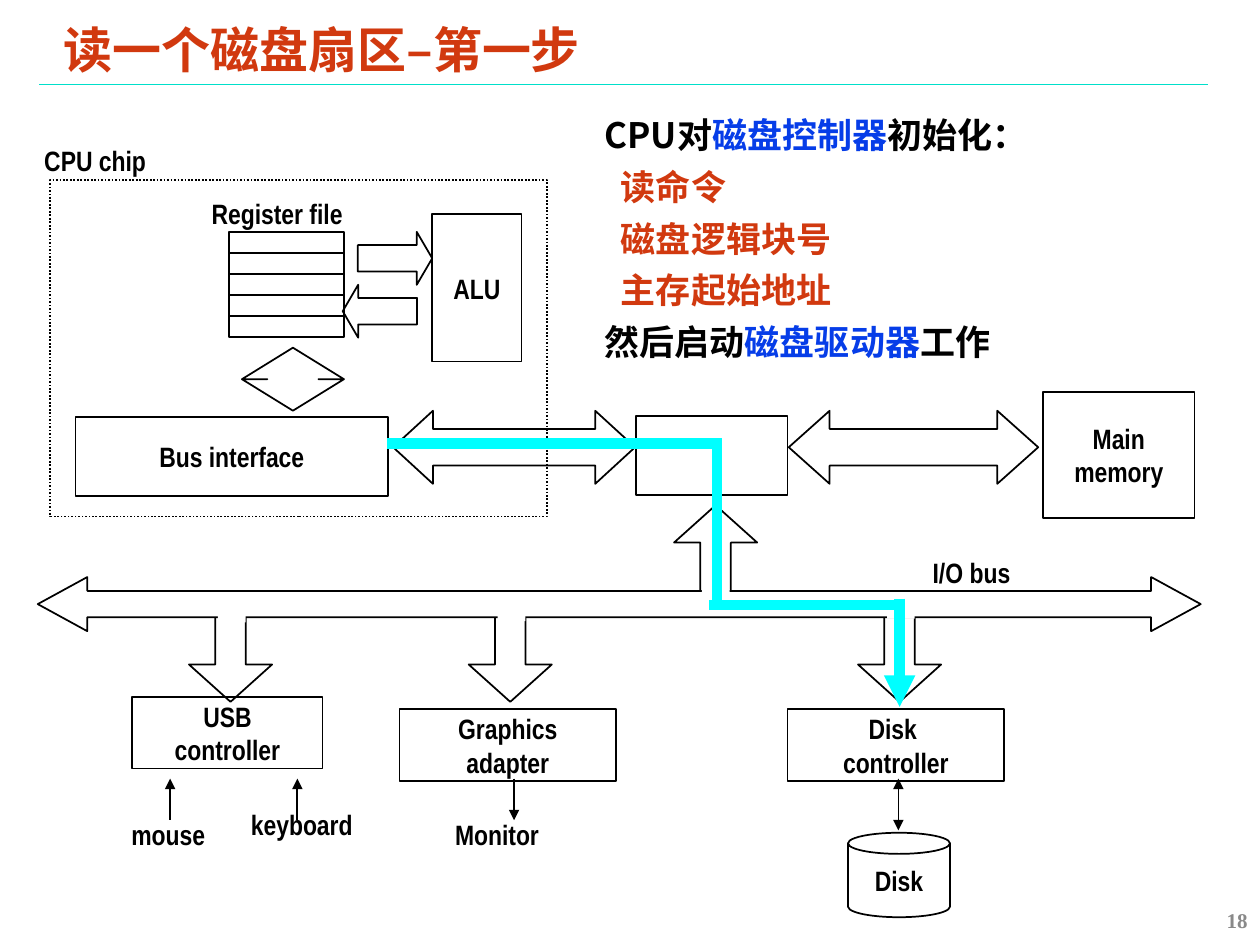
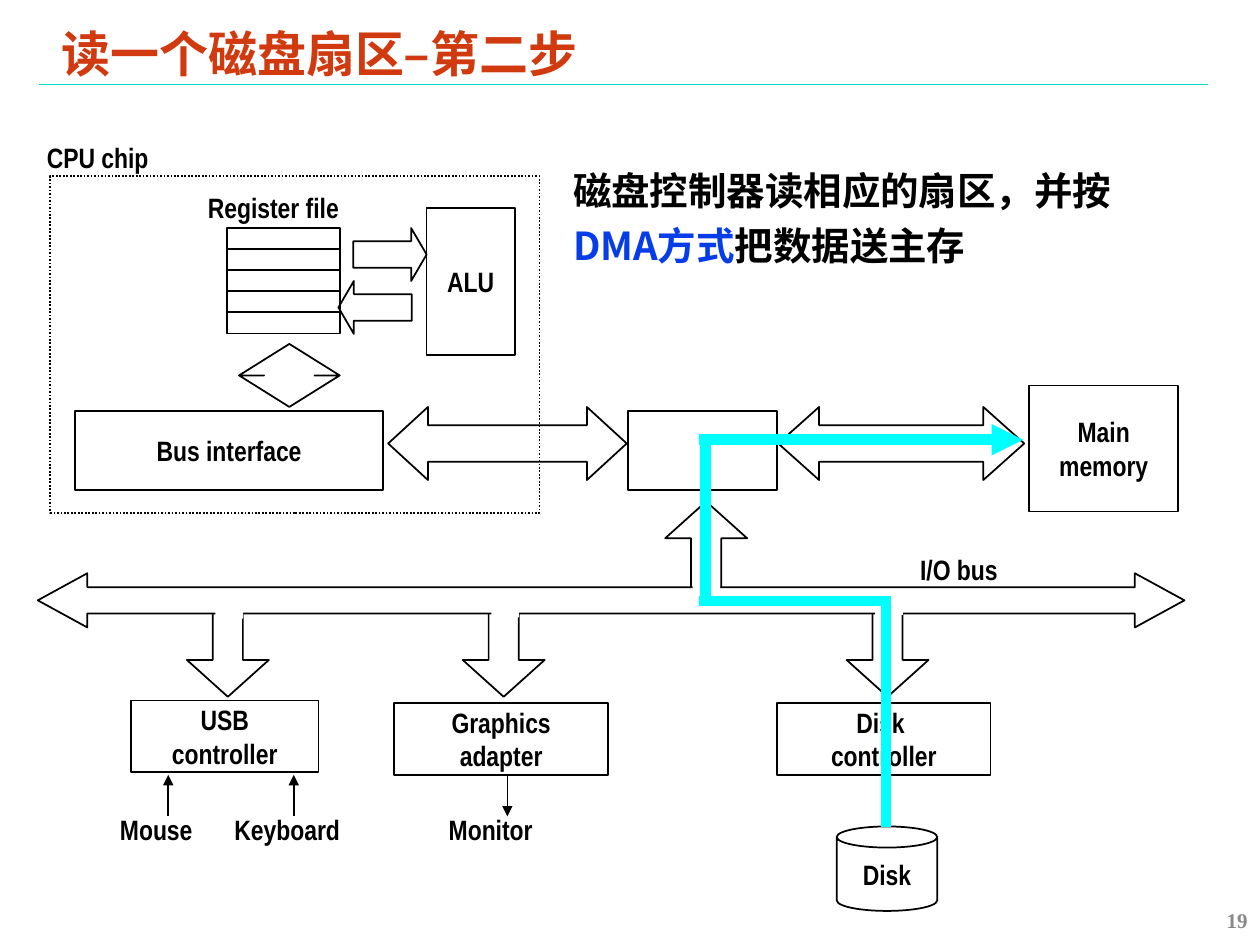
"""Build two slides on the steps of reading a disk sector."""
from lxml import etree
from pptx import Presentation
from pptx.dml.color import RGBColor
from pptx.enum.dml import MSO_LINE
from pptx.enum.shapes import MSO_CONNECTOR, MSO_SHAPE
from pptx.enum.text import MSO_ANCHOR, PP_ALIGN
from pptx.oxml.ns import qn
from pptx.util import Inches, Pt

RECT, CAN = MSO_SHAPE.RECTANGLE, MSO_SHAPE.CAN
LEFT_RIGHT, UP_DOWN = MSO_SHAPE.LEFT_RIGHT_ARROW, MSO_SHAPE.UP_DOWN_ARROW
TO_RIGHT, TO_LEFT = MSO_SHAPE.RIGHT_ARROW, MSO_SHAPE.LEFT_ARROW
TO_TOP, TO_BOTTOM = MSO_SHAPE.UP_ARROW, MSO_SHAPE.DOWN_ARROW
STRAIGHT = MSO_CONNECTOR.STRAIGHT
DOTTED = MSO_LINE.ROUND_DOT
TOP, MIDDLE = MSO_ANCHOR.TOP, MSO_ANCHOR.MIDDLE
LEFT, CENTER, RIGHT = PP_ALIGN.LEFT, PP_ALIGN.CENTER, PP_ALIGN.RIGHT

BLACK = RGBColor(0x00, 0x00, 0x00)
WHITE = RGBColor(0xFF, 0xFF, 0xFF)
RED = RGBColor(0xD1, 0x39, 0x0F)
BLUE = RGBColor(0x06, 0x3D, 0xE8)
TEAL = RGBColor(0x00, 0xDF, 0xCA)
CYAN = RGBColor(0x00, 0xFF, 0xFF)
GRAY = RGBColor(0x89, 0x89, 0x89)
CJK, NARROW, SERIF = "Noto Sans CJK SC", "Arial Narrow", "Times New Roman"


def write(frame, paragraphs, font, size, align=CENTER, anchor=MIDDLE, wrap=False, spacing=1.0, before=0):
    """Fill a text frame with paragraphs, each a list of (text, colour) runs."""
    frame.word_wrap = wrap
    frame.vertical_anchor = anchor
    for number, runs in enumerate(paragraphs):
        paragraph = frame.add_paragraph() if number else frame.paragraphs[0]
        paragraph.alignment = align
        paragraph.line_spacing = spacing
        if number and before:
            paragraph.space_before = Pt(before)
        for text, color in runs:
            run = paragraph.add_run()
            run.text = text
            run.font.name = font
            run.font.size = Pt(size)
            run.font.bold = True
            run.font.color.rgb = color
            etree.SubElement(run.font._element, qn("a:ea")).set("typeface", font)


def add_box(slide, x, y, w, h):
    """Add an empty text box and return its text frame."""
    return slide.shapes.add_textbox(Inches(x), Inches(y), Inches(w), Inches(h)).text_frame


REGISTERS = [(RECT, 1.82, 1.84 + 0.167 * row, 0.91, 0.17, 0.03, (), "") for row in range(5)]
BRANCHES = [(TO_BOTTOM, x, 4.82, 0.66, 0.75, 0.04, (0.367, 0.449), "") for x in (6.81, 3.72, 1.5)]
IO_BUS = (LEFT_RIGHT, 0.3, 4.58, 9.23, 0.43, 0.03, (0.486, 0.915), "")
CPU_CHIP = (RECT, 0.4, 1.43, 3.94, 2.67, 0.03, (), "")
PARTS = [
    (RECT, 8.28, 3.11, 1.2, 1, 0.05, (), "Main\nmemory"),
    (LEFT_RIGHT, 6.26, 3.26, 1.98, 0.58, 0.03, (0.5, 0.56), ""),
    (RECT, 5.05, 3.3, 1.2, 0.63, 0.04, (), ""),
    (LEFT_RIGHT, 3.12, 3.26, 1.92, 0.58, 0.03, (0.5, 0.545), ""),
    *REGISTERS,
    (TO_RIGHT, 2.84, 1.84, 0.59, 0.42, 0.03, (0.5, 0.292), ""),
    (TO_LEFT, 2.72, 2.26, 0.59, 0.42, 0.03, (0.5, 0.292), ""),
    (RECT, 3.43, 1.7, 0.71, 1.17, 0.05, (), "ALU"),
    (UP_DOWN, 1.92, 2.76, 0.81, 0.5, 0.03, (0.2, 0.5), ""),
    CPU_CHIP,
    (TO_TOP, 5.35, 4.01, 0.66, 0.75, 0.03, (0.367, 0.449), ""),
    *BRANCHES,
    (RECT, 6.25, 5.63, 1.72, 0.57, 0.05, (), "Disk \ncontroller"),
    (RECT, 3.17, 5.63, 1.72, 0.57, 0.05, (), "Graphics\nadapter"),
    (RECT, 1.05, 5.53, 1.51, 0.57, -0.03, (), "USB\ncontroller"),
    (CAN, 6.73, 6.61, 0.81, 0.67, 0.05, (0.25,), "Disk"),
    (RECT, 0.6, 3.31, 2.48, 0.63, 0.05, (), "Bus interface"),
    IO_BUS,
]
BUS_OPENINGS = [(1.73, 4.77), (3.95, 4.76), (7.04, 4.74), (5.57, 4.68)]
DEVICE_ARROWS = [(1.35, "headEnd"), (2.36, "headEnd"), (4.08, "tailEnd")]

STEPS = [
    {
        "title": ("读一个磁盘扇区–第一步", 0.41, 0.11),
        "scale": 1, "lift": 0, "page": "18",
        "labels": [
            ("Register file", 1.58, 1.51, 1.24), ("CPU chip", 0.25, 1.09, 1.01),
            ("mouse", 0.94, 6.44, 0.79), ("keyboard", 1.89, 6.36, 1.01),
            ("Monitor", 3.51, 6.44, 0.87), ("I/O bus", 7.3, 4.36, 0.82),
        ],
        "route": [
            (3.07, 3.52, 5.73, 3.52, ()), (5.69, 3.52, 5.69, 4.77, ()),
            (5.63, 4.8, 7.13, 4.8, ()), (7.14, 4.75, 7.14, 5.61, ("tailEnd",)),
        ],
        "disk_link": [(7.13, 6.18, 7.13, 6.59, ("headEnd", "tailEnd"))],
        "message_box": (4.7, 0.8, 4.41, 2.15),
        "message_style": {"size": 20, "spacing": 1.15, "before": 2},
        "indented": (1, 2, 3),
        "message": [
            [("CPU对", BLACK), ("磁盘控制器", BLUE), ("初始化：", BLACK)],
            [("读命令", RED)],
            [("磁盘逻辑块号", RED)],
            [("主存起始地址", RED)],
            [("然后启动", BLACK), ("磁盘驱动器", BLUE), ("工作", BLACK)],
        ],
    },
    {
        "title": ("读一个磁盘扇区–第二步", 0.39, 0.14),
        "scale": 0.986, "lift": 1, "page": "19",
        "labels": [
            ("Register file", 1.55, 1.46, 1.24), ("CPU chip", 0.27, 1.06, 1.01),
            ("Mouse", 0.85, 6.4, 0.78), ("Keyboard", 1.76, 6.4, 1.04),
            ("Monitor", 3.46, 6.4, 0.87), ("I/O bus", 7.2, 4.33, 0.82),
        ],
        "route": [
            (5.55, 3.49, 8.12, 3.49, ("tailEnd",)), (5.6, 3.49, 5.6, 4.73, ()),
            (5.55, 4.77, 7.03, 4.77, ()), (7.03, 4.73, 7.03, 6.56, ()),
        ],
        "disk_link": [],
        "message_box": (4.45, 1.2, 4.92, 0.98),
        "message_style": {"size": 22, "spacing": 1.2},
        "indented": (),
        "message": [[("磁盘控制器读相应的扇区，并按", BLACK), ("DMA方式", BLUE), ("把数据送主存", BLACK)]],
    },
]

deck = Presentation()
deck.slide_width, deck.slide_height = Inches(10), Inches(7.5)

for step in STEPS:
    slide = deck.slides.add_slide(deck.slide_layouts[6])
    scale, lift = step["scale"], step["lift"]
    title, title_x, title_y = step["title"]
    write(add_box(slide, title_x, title_y, 8.3, 0.62), [[(title, RED)]], CJK, 28, LEFT, wrap=True, spacing=0.87)

    for part in PARTS:
        kind, x, y, w, h, rise, adjustments, caption = part
        shape = slide.shapes.add_shape(
            kind, Inches(0.3 + (x - 0.3) * scale), Inches(y - rise * lift), Inches(w * scale), Inches(h))
        shape.shadow.inherit = False
        for index, value in enumerate(adjustments):
            shape.adjustments[index] = value
        if part is IO_BUS:
            shape.fill.solid()
            shape.fill.fore_color.rgb = WHITE
        else:
            shape.fill.background()
        shape.line.color.rgb = BLACK
        shape.line.width = Pt(1)
        if part is CPU_CHIP:
            shape.line.dash_style = DOTTED
        if caption:
            write(shape.text_frame, [[(line, BLACK)] for line in caption.split("\n")], NARROW, 16)

    for x, y in BUS_OPENINGS:
        opening = slide.shapes.add_shape(
            RECT, Inches(0.3 + (x - 0.3) * scale), Inches(y - 0.03 * lift), Inches(0.22), Inches(0.17))
        opening.shadow.inherit = False
        opening.fill.solid()
        opening.fill.fore_color.rgb = WHITE
        opening.line.fill.background()

    for label, x, y, w in step["labels"]:
        write(add_box(slide, x, y, w, 0.37), [[(label, BLACK)]], NARROW, 16)

    links = [(0.31, 0.67, 9.59, 0.67, (), TEAL, 1)]
    for x, end in DEVICE_ARROWS:
        link_x = 0.3 + (x - 0.3) * scale
        links.append((link_x, 6.18 - 0.03 * lift, link_x, 6.51 - 0.03 * lift, (end,), BLACK, 1))
    links += [(*link, BLACK, 1) for link in step["disk_link"]]
    links += [(*link, CYAN, 6) for link in step["route"]]
    for x1, y1, x2, y2, ends, color, width in links:
        link = slide.shapes.add_connector(STRAIGHT, Inches(x1), Inches(y1), Inches(x2), Inches(y2))
        link.line.color.rgb = color
        link.line.width = Pt(width)
        for end in ends:
            etree.SubElement(link.line._get_or_add_ln(), qn(f"a:{end}")).set("type", "triangle")
        etree.SubElement(link._element.spPr, qn("a:effectLst"))

    message = add_box(slide, *step["message_box"])
    write(message, step["message"], CJK, align=LEFT, anchor=TOP, wrap=True, **step["message_style"])
    for number in step["indented"]:
        message.paragraphs[number]._p.get_or_add_pPr().set("marL", str(Inches(0.13)))

    write(add_box(slide, 7.75, 7.1, 2.25, 0.4), [[(step["page"], GRAY)]], SERIF, 12, RIGHT, wrap=True)

deck.save("out.pptx")
